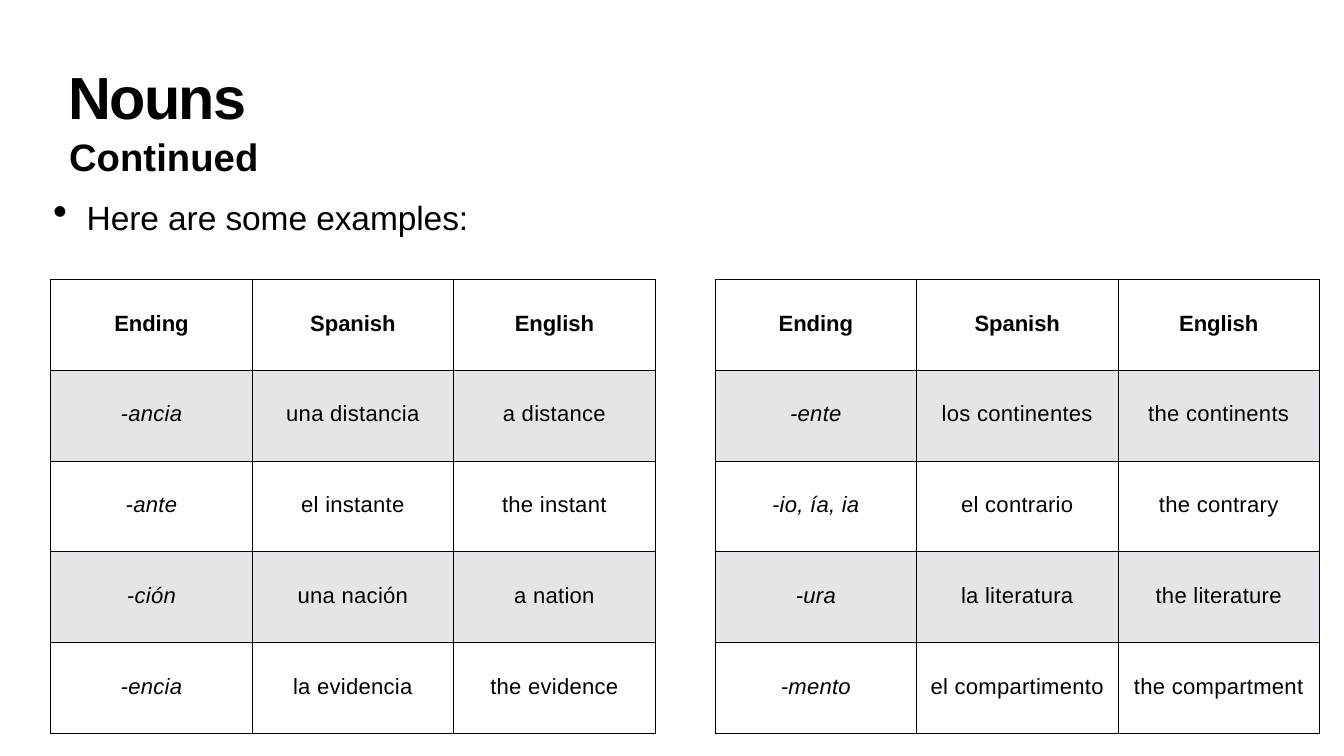
import pptx
import pptx.dml.color
import pptx.enum.text
import pptx.oxml.ns
import pptx.util
from lxml import etree

Inch = pptx.util.Inches
Pt = pptx.util.Pt
qn = pptx.oxml.ns.qn
WIDE, HIGH = 21.99, 12.37
INK, BAND = "000000", "E3E5E8"
HEAD = ["Ending", "Spanish", "English"]
LEFT = [
    ["-ancia", "una distancia", "a distance"],
    ["-ante", "el instante", "the instant"],
    ["-ción", "una nación", "a nation"],
    ["-encia", "la evidencia", "the evidence"],
]
RIGHT = [
    ["-ente", "los continentes", "the continents"],
    ["-io, ía, ia", "el contrario", "the contrary"],
    ["-ura", "la literatura", "the literature"],
    ["-mento", "el compartimento", "the compartment"],
]


def color(code):
    return pptx.dml.color.RGBColor.from_string(code)


def write(para, text, size, bold=False, italic=False, gap=0):
    run = para.add_run()
    run.text = text
    run._r.get_or_add_rPr().set("spc", str(round(gap * 100)))
    font = para.font
    font.name, font.size, font.bold, font.italic = "Arial", Pt(size), bold, italic
    font.color.rgb = color(INK)


def frame(slide, box, top):
    area = slide.shapes.add_textbox(*map(Inch, box)).text_frame
    area.word_wrap = True
    area.margin_left = area.margin_right = area.margin_bottom = 0
    area.margin_top = Inch(top)
    return area


def title(slide, box):
    para = frame(slide, box, 0.01).paragraphs[0]
    para.space_before = Pt(1.1)
    write(para, "Nouns", 70, bold=True, gap=-1.9)


def intro(slide, box):
    area = frame(slide, box, 0.17)
    sub = area.paragraphs[0]
    sub.space_before = Pt(11.9)
    sub._p.get_or_add_pPr().set("marL", str(Inch(0.27)))
    write(sub, "Continued", 45, bold=True, gap=0.1)
    item = area.add_paragraph()
    item.space_before = Pt(20.6)
    write(item, "Here are some examples:", 39.5, gap=-0.1)
    props = item._p.get_or_add_pPr()
    props.set("marL", str(Inch(0.56)))
    props.set("indent", str(Inch(-0.55)))
    size = etree.Element(qn("a:buSzPct"), val="123000")
    mark = etree.Element(qn("a:buChar"), char="•")
    props.find(qn("a:spcBef")).addnext(size)
    size.addnext(mark)


def edge(cell):
    props = cell._tc.get_or_add_tcPr()
    for spot, side in enumerate(("lnL", "lnR", "lnT", "lnB")):
        line = etree.Element(qn("a:" + side), w=str(Pt(1)))
        fill = etree.SubElement(line, qn("a:solidFill"))
        etree.SubElement(fill, qn("a:srgbClr"), val=INK)
        props.insert(spot, line)


def grid(slide, box, rows):
    rows = [HEAD] + rows
    table = slide.shapes.add_table(len(rows), len(HEAD), *map(Inch, box)).table
    for col in table.columns:
        col.width = Inch(box[2] / len(HEAD))
    for r, row in enumerate(rows):
        table.rows[r].height = Inch(box[3] / len(rows))
        for c, text in enumerate(row):
            cell = table.cell(r, c)
            cell.margin_left = cell.margin_right = cell.margin_bottom = 0
            cell.margin_top = Inch(0.52)
            cell.fill.solid()
            cell.fill.fore_color.rgb = color(BAND if r % 2 else "FFFFFF")
            edge(cell)
            para = cell.text_frame.paragraphs[0]
            para.alignment = pptx.enum.text.PP_ALIGN.CENTER
            write(para, text, 26, bold=r == 0, italic=r > 0 and c == 0,
                  gap=0.3 if r else -0.1)


def nouns(deck):
    slide = deck.slides.add_slide(deck.slide_layouts[6])
    title(slide, (1.12, 0.97, 2.93, 1.2))
    intro(slide, (0.86, 2.01, 6.83, 1.9))
    for n, rows in enumerate((LEFT, RIGHT)):
        grid(slide, (0.83 + n * 10.87, 4.57, 9.89, 7.43), rows)


def main():
    deck = pptx.Presentation()
    deck.slide_width, deck.slide_height = Inch(WIDE), Inch(HIGH)
    nouns(deck)
    deck.save("out.pptx")


if __name__ == "__main__":
    main()
